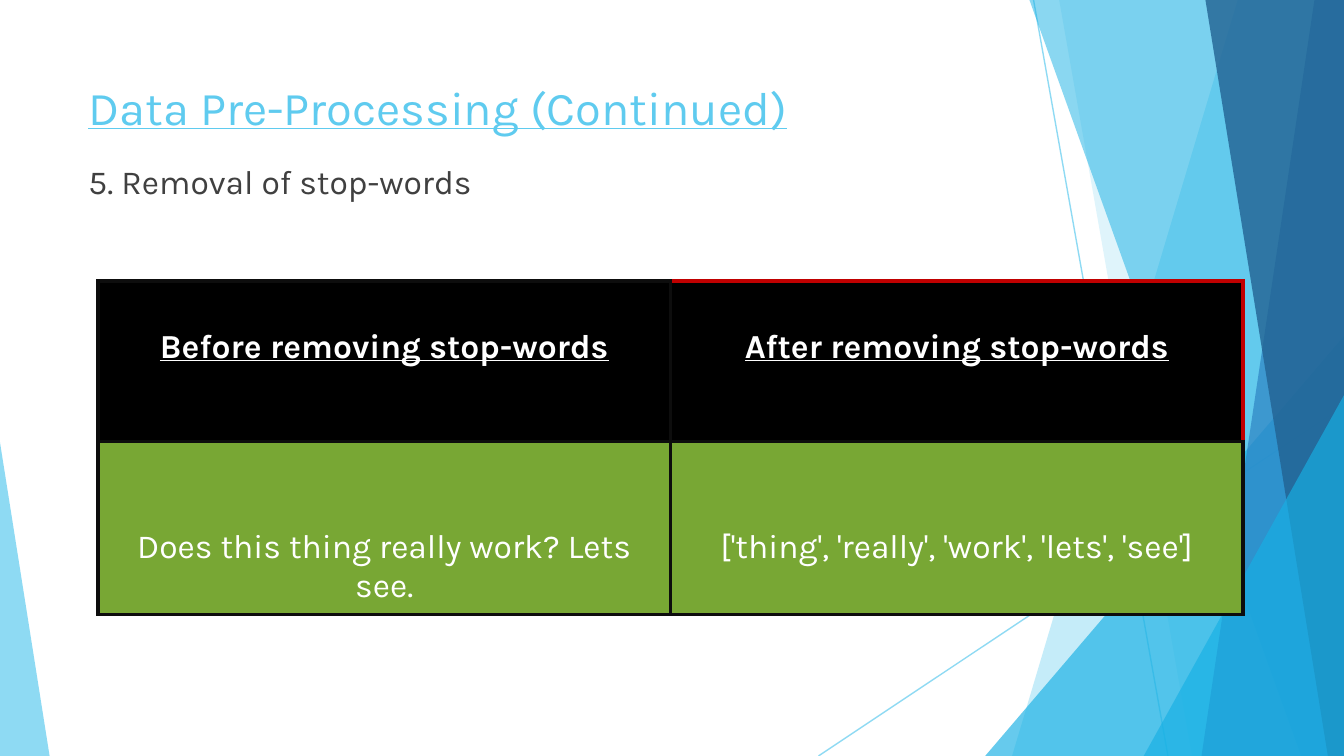
"""Build the stop-word removal slide with its faceted backdrop and comparison table."""
from dataclasses import dataclass

from lxml import etree
from pptx import Presentation
from pptx.dml.color import RGBColor
from pptx.enum.shapes import MSO_CONNECTOR, MSO_SHAPE
from pptx.enum.text import MSO_ANCHOR, PP_ALIGN
from pptx.oxml.ns import qn
from pptx.util import Pt

STRAIGHT = MSO_CONNECTOR.STRAIGHT
TRIANGLE = MSO_SHAPE.ISOSCELES_TRIANGLE
CENTER = PP_ALIGN.CENTER
TOP = MSO_ANCHOR.TOP


@dataclass(frozen=True)
class Theme:
    """Colours, font and sizes."""
    font: str = "Karla"
    title_size: float = 25.2
    body_size: float = 18
    hairline: float = 0.75
    border: float = 2.25
    sky: str = "5FCBEF"
    cyan: str = "17B0E4"
    blue: str = "2E83C3"
    navy: str = "226292"
    text: str = "404040"
    white: str = "FFFFFF"
    black: str = "000000"
    green: str = "78A734"
    edge: str = "0D0D0D"
    red: str = "C00000"


T = Theme()
W, H = 720, 405

TITLE = "Data Pre-Processing (Continued)"
BODY = "5. Removal of stop-words"
ROWS = [
    ("Before removing stop-words", "After removing stop-words"),
    ("Does this thing really work? Lets see.",
     "['thing', 'really', 'work', 'lets', 'see']"),
]
ROW_STYLES = [
    {"height": 86, "inset": 25, "fill": T.black, "strong": True},
    {"height": 92, "inset": 46, "fill": T.green, "strong": False},
]
TABLE_LEFT, TABLE_TOP, COL_WIDTH = 52.5, 150.5, 306.75
ACCENT_EDGES = {(0, 1): ("R", "T")}

RAYS = [(553.7, 0, 625.7, H), (W, 217.4, 438.5, H)]
FACETS = [
    ("band", (663.1, 542.2), T.sky, 36),
    ("band", (567.4, 638.6), T.sky, 20),
    ("triangle", (527.8, 180, W, 1), T.cyan, 66),
    ("band", (551.5, 697), T.cyan, 50),
    ("band", (704.2, 643.7), T.blue, 70),
    ("band", (645.8, 711.4), T.navy, 80),
    ("triangle", (612.7, 211.7, W, 1), T.cyan, 66),
    ("triangle", (0, 236.9, 26.6, 0), T.sky, 70),
]


def rgb(value):
    return RGBColor.from_string(value)


def set_alpha(sp, percent):
    for color in sp._element.spPr.iter(qn("a:srgbClr")):
        etree.SubElement(color, qn("a:alpha"), val=str(percent * 1000))


def add_ray(shapes, x1, y1, x2, y2):
    line = shapes.add_connector(STRAIGHT, Pt(x1), Pt(y1), Pt(x2), Pt(y2))
    line.line.color.rgb = rgb(T.sky)
    line.line.width = Pt(T.hairline)
    set_alpha(line, 70)
    etree.SubElement(line._element.spPr, qn("a:effectLst"))


def add_facet(shapes, kind, geometry, color, alpha):
    if kind == "band":
        top_x, bottom_x = geometry
        outline = shapes.build_freeform(Pt(top_x), 0)
        corners = [(W, 0), (W, H), (bottom_x, H)]
        outline.add_line_segments([(Pt(x), Pt(y)) for x, y in corners])
        sp = outline.convert_to_shape()
    else:
        left, top, right, apex = geometry
        sp = shapes.add_shape(TRIANGLE, Pt(left), Pt(top), Pt(right - left), Pt(H - top))
        sp.adjustments[0] = apex
    sp.shadow.inherit = False
    sp.fill.solid()
    sp.fill.fore_color.rgb = rgb(color)
    sp.line.fill.background()
    set_alpha(sp, alpha)


def style(p, size, color, strong=False, underline=False):
    p.font.name = T.font
    p.font.size = Pt(size)
    p.font.color.rgb = rgb(color)
    p.font.bold = strong
    p.font.underline = underline


def add_text(shapes, box, text, size, color, inset, underline=False):
    tf = shapes.add_textbox(*map(Pt, box)).text_frame
    tf.word_wrap = True
    tf.vertical_anchor = TOP
    tf.margin_top = Pt(inset)
    p = tf.paragraphs[0]
    p.text = text
    style(p, size, color, underline=underline)


def set_borders(cell, accents):
    tc_pr = cell._tc.get_or_add_tcPr()
    for i, side in enumerate("LRTB"):
        ln = etree.Element(qn(f"a:ln{side}"), w=str(Pt(T.border)))
        fill = etree.SubElement(ln, qn("a:solidFill"))
        etree.SubElement(fill, qn("a:srgbClr"), val=T.red if side in accents else T.edge)
        tc_pr.insert(i, ln)


def add_comparison(shapes):
    height = sum(row["height"] for row in ROW_STYLES)
    columns = len(ROWS[0])
    table = shapes.add_table(len(ROWS), columns, Pt(TABLE_LEFT), Pt(TABLE_TOP),
                             Pt(COL_WIDTH * columns), Pt(height)).table
    for column in table.columns:
        column.width = Pt(COL_WIDTH)
    for r, (texts, look) in enumerate(zip(ROWS, ROW_STYLES)):
        table.rows[r].height = Pt(look["height"])
        for c, text in enumerate(texts):
            cell = table.cell(r, c)
            cell.fill.solid()
            cell.fill.fore_color.rgb = rgb(look["fill"])
            cell.vertical_anchor = TOP
            cell.margin_top = Pt(look["inset"])
            p = cell.text_frame.paragraphs[0]
            p.text = text
            p.alignment = CENTER
            style(p, T.body_size, T.white, look["strong"], look["strong"])
            set_borders(cell, ACCENT_EDGES.get((r, c), ()))


def main():
    prs = Presentation()
    prs.slide_width, prs.slide_height = Pt(W), Pt(H)
    s = prs.slides.add_slide(prs.slide_layouts[6])
    for ray in RAYS:
        add_ray(s.shapes, *ray)
    for facet in FACETS:
        add_facet(s.shapes, *facet)
    add_text(s.shapes, (40.3, 36, 507.6, 46), TITLE, T.title_size, T.sky, 6, underline=True)
    add_text(s.shapes, (40.3, 82, 640, 275), BODY, T.body_size, T.text, 4)
    add_comparison(s.shapes)
    prs.save("out.pptx")


if __name__ == "__main__":
    main()
